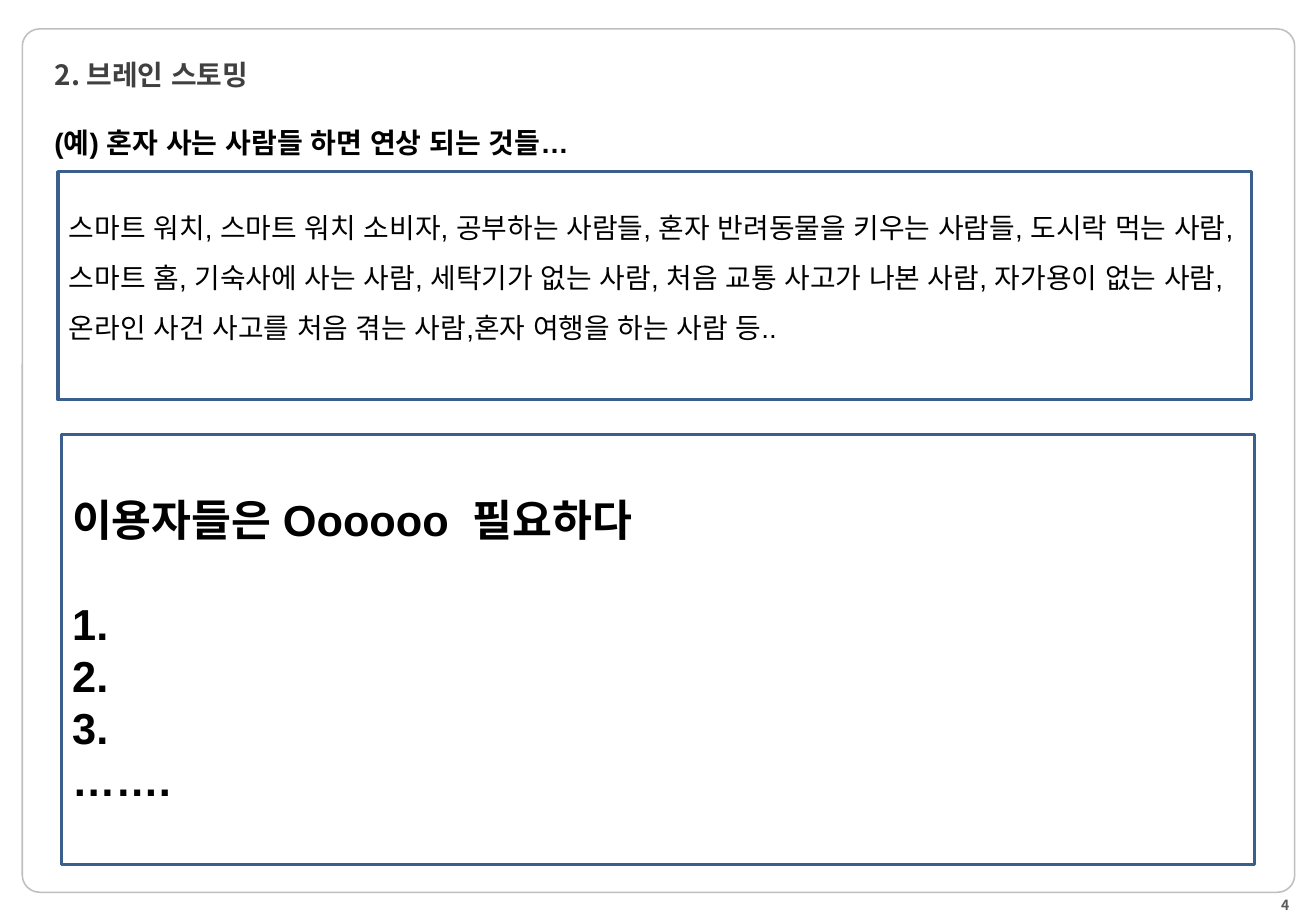
from dataclasses import dataclass
from typing import Optional

from lxml import etree
from pptx import Presentation
from pptx import util as u
from pptx.dml.color import RGBColor
from pptx.enum import shapes, text
from pptx.oxml.ns import qn

BLACK = RGBColor(0x00, 0x00, 0x00)
TITLE_GREY = RGBColor(0x40, 0x40, 0x40)
NUMBER_GREY = RGBColor(0x59, 0x59, 0x59)
FRAME_GREY = RGBColor(0xBF, 0xBF, 0xBF)
BOX_BLUE = RGBColor(0x3A, 0x5F, 0x8C)
KOREAN = "Noto Sans CJK KR"
LATIN = "Arial"
LEFT, RIGHT = text.PP_ALIGN.LEFT, text.PP_ALIGN.RIGHT
CM_PER_INCH = 2.54


@dataclass(frozen=True)
class Style:
    size: float
    color: RGBColor = BLACK
    font: str = LATIN
    bold: bool = True
    align: text.PP_ALIGN = LEFT
    leading: Optional[float] = None


@dataclass(frozen=True)
class Box:
    at: tuple[float, float, float, float]
    lines: tuple[str, ...]
    style: Style
    outlined: bool = False
    bottom: float = 0.05
    first_gap: float = 0


def set_all(target, values: dict) -> None:
    for name, value in values.items():
        setattr(target, name, value)


def place(sp, at: tuple[float, float, float, float]) -> None:
    set_all(sp, dict(zip(("left", "top", "width", "height"), map(u.Inches, at))))


def write(tf, lines: tuple[str, ...], style: Style) -> None:
    set_all(tf, {"word_wrap": True, "vertical_anchor": text.MSO_ANCHOR.MIDDLE,
                 "auto_size": text.MSO_AUTO_SIZE.NONE})
    for i, line in enumerate(lines):
        p = tf.add_paragraph() if i else tf.paragraphs[0]
        p.alignment = style.align
        if style.leading:
            p.line_spacing = u.Pt(style.leading)
        r = p.add_run()
        r.text = line
        set_all(r.font, {"size": u.Pt(style.size), "bold": style.bold, "name": style.font})
        r.font.color.rgb = style.color
        etree.SubElement(r.font._element, qn("a:ea")).set("typeface", LATIN)


def add_outline(s, kind: shapes.MSO_SHAPE, at: tuple[float, float, float, float],
                color: RGBColor, width: float):
    sp = s.shapes.add_shape(kind, *map(u.Inches, at))
    sp.shadow.inherit = False
    sp.fill.background()
    sp.line.color.rgb = color
    sp.line.width = u.Pt(width)
    return sp


def add_box(s, box: Box) -> None:
    if box.outlined:
        sp = add_outline(s, shapes.MSO_SHAPE.RECTANGLE, box.at, BOX_BLUE, 2)
    else:
        sp = s.shapes.add_textbox(*map(u.Inches, box.at))
    tf = sp.text_frame
    write(tf, box.lines, box.style)
    tf.margin_bottom = u.Inches(box.bottom)
    if box.first_gap:
        tf.paragraphs[0].space_after = u.Pt(box.first_gap)


IDEAS = (
    "스마트 워치, 스마트 워치 소비자, 공부하는 사람들, 혼자 반려동물을 키우는 사람들, "
    "도시락 먹는 사람, 스마트 홈, 기숙사에 사는 사람, 세탁기가 없는 사람, "
    "처음 교통 사고가 나본 사람, 자가용이 없는 사람, "
    "온라인 사건 사고를 처음 겪는 사람,혼자 여행을 하는 사람 등.."
)
BOXES = (
    Box((8.91, 8.03, 2.76, 0.18), ("4",), Style(9, NUMBER_GREY, KOREAN, align=RIGHT)),
    Box((0.55, 3.9, 10.71, 3.86),
        ("이용자들은 Oooooo  필요하다", "1.", "2.", "3.", "……."),
        Style(28, leading=33.6), outlined=True, first_gap=33.6),
    Box((0.52, 1.54, 10.71, 2.05), (IDEAS,),
        Style(18, bold=False, leading=32.4), outlined=True, bottom=0.35),
    Box((0.39, 0.9, 6.97, 0.61), ("(예) 혼자 사는 사람들 하면 연상 되는 것들…",),
        Style(18.1, leading=32.4)),
)

prs = Presentation()
prs.slide_width = u.Inches(30 / CM_PER_INCH)
prs.slide_height = u.Inches(21 / CM_PER_INCH)
prs.element.find(qn("p:sldSz")).attrib.pop("type", None)
s = prs.slides.add_slide(prs.slide_layouts[5])

frame = add_outline(s, shapes.MSO_SHAPE.ROUNDED_RECTANGLE,
                    (0.2, 0.26, 11.42, 7.75), FRAME_GREY, 1)
frame.adjustments[0] = 0.02

title = s.shapes.title
place(title, (0.47, 0.19, 10.67, 0.95))
write(title.text_frame, ("2. 브레인 스토밍",), Style(18, TITLE_GREY, KOREAN))
set_all(title.text_frame, {f"margin_{side}": u.Inches(0.02)
                           for side in ("left", "top", "right", "bottom")})

for box in BOXES:
    add_box(s, box)

prs.save("out.pptx")
